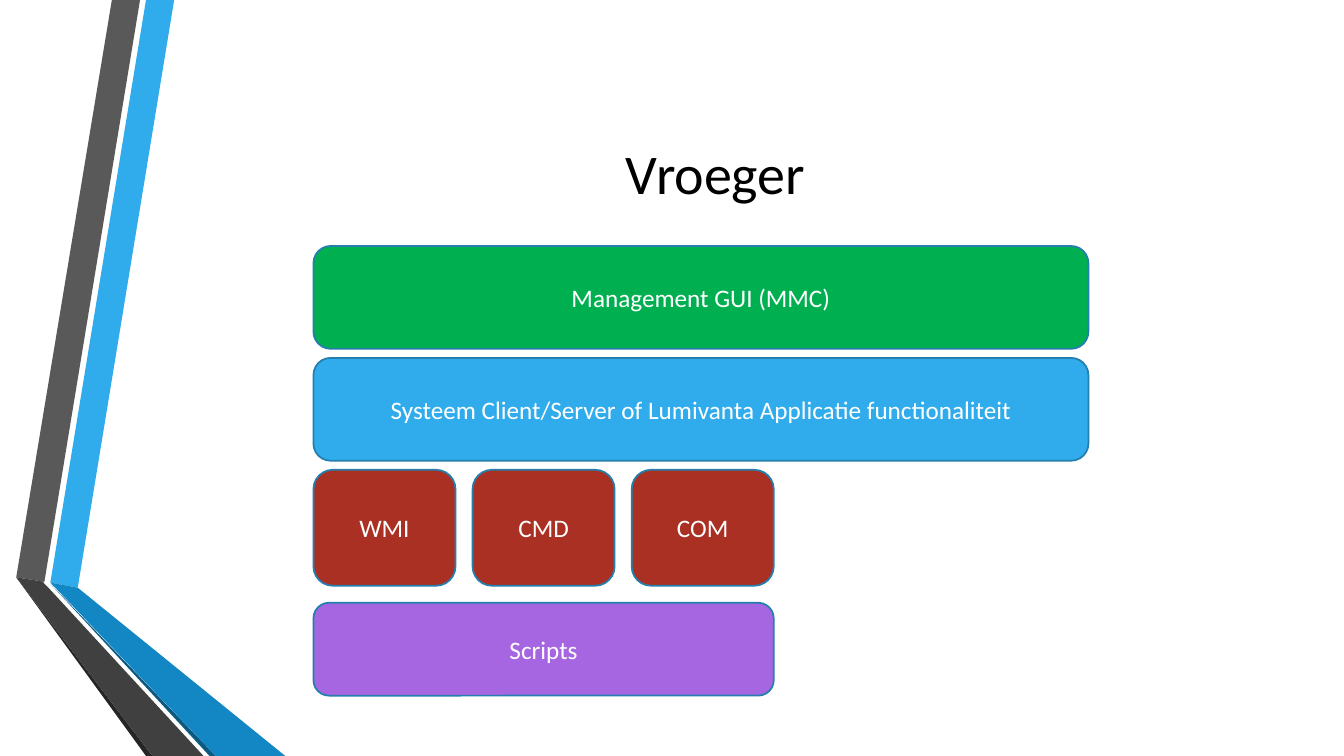
from pptx import Presentation
from pptx.dml.color import RGBColor
from pptx.enum.shapes import MSO_SHAPE
from pptx.enum.text import MSO_ANCHOR, PP_ALIGN
from pptx.util import Cm, Pt

# Content
TITLE = "Vroeger"
# Layers from top to bottom: labels, fill, top, height, total width (cm)
LAYERS = [
    (["Management GUI (MMC)"], "00B050", 6.2, 2.59, 19.53),
    (["Systeem Client/Server of Lumivanta Applicatie functionaliteit"],
     "30ACEC", 9.02, 2.59, 19.53),
    (["WMI", "CMD", "COM"], "A93023", 11.84, 2.92, 11.6),
    (["Scripts"], "A666E1", 15.19, 2.34, 11.6),
]
LAYERS_LEFT, TILE_GAP = 7.9, 0.43

# Folded ribbons on the left: fill, corner points (cm)
SLIDE_WIDTH, BOTTOM = 33.87, 19.05
RIBBONS = [
    ("30ACEC", [(1.27, 14.68), (1.96, 14.81), (4.39, 0), (3.68, 0)]),
    ("595959", [(3.53, 0), (2.82, 0), (0.41, 14.55), (1.12, 14.66)]),
    ("262626", [(0.41, 14.55), (3.68, BOTTOM), (3.84, BOTTOM)]),
    ("0C5A82", [(1.27, 14.71), (5.28, BOTTOM), (5.44, BOTTOM)]),
    ("1287C3", [(1.27, 14.68), (5.44, BOTTOM), (7.19, BOTTOM), (1.96, 14.81)]),
    ("404040", [(5.13, BOTTOM), (1.22, 14.81), (1.09, 14.68), (1.12, 14.66),
                (0.41, 14.55), (3.84, BOTTOM)]),
]

TITLE_FONT = {"name": "Calibri", "size": Pt(40), "bold": False}
LAYER_FONT = {"name": "Calibri", "size": Pt(18), "bold": False}
TITLE_PLACE = {"left": Cm(4.11), "top": Cm(1.9),
               "width": Cm(27.84), "height": Cm(4.88)}


def colour(target, hex_value):
    """Colour a fill or a font."""
    if hasattr(target, "solid"):
        target.solid()
        target = target.fore_color
    else:
        target = target.color
    target.rgb = RGBColor.from_string(hex_value)


def set_all(target, values):
    for name, value in values.items():
        setattr(target, name, value)


def write(holder, text, font, hex_value):
    frame = holder.text_frame
    frame.text = text
    set_all(frame, {"word_wrap": True, "vertical_anchor": MSO_ANCHOR.MIDDLE})
    paragraph = frame.paragraphs[0]
    paragraph.alignment = PP_ALIGN.CENTER
    run_font = paragraph.runs[0].font
    set_all(run_font, font)
    colour(run_font, hex_value)


def add_ribbon(slide, fill, points):
    corners = [(Cm(x), Cm(y)) for x, y in points]
    builder = slide.shapes.build_freeform(*corners[0])
    builder.add_line_segments(corners[1:], close=True)
    ribbon = builder.convert_to_shape()
    ribbon.shadow.inherit = False
    colour(ribbon.fill, fill)
    ribbon.line.fill.background()


def add_layer(slide, labels, fill, top, height, total_width):
    width = (total_width - TILE_GAP * (len(labels) - 1)) / len(labels)
    for column, label in enumerate(labels):
        left = LAYERS_LEFT + column * (width + TILE_GAP)
        tile = slide.shapes.add_shape(MSO_SHAPE.ROUNDED_RECTANGLE,
                                      Cm(left), Cm(top), Cm(width), Cm(height))
        tile.shadow.inherit = False
        colour(tile.fill, fill)
        colour(tile.line.fill, "247FAF")
        tile.line.width = Pt(1.25)
        write(tile, label, LAYER_FONT, "FFFFFF")


def main():
    deck = Presentation()
    set_all(deck, {"slide_width": Cm(SLIDE_WIDTH), "slide_height": Cm(BOTTOM)})
    slide = deck.slides.add_slide(deck.slide_layouts[5])

    # Ribbons
    for fill, points in RIBBONS:
        add_ribbon(slide, fill, points)

    # Title
    title = slide.shapes.title
    set_all(title, TITLE_PLACE)
    write(title, TITLE, TITLE_FONT, "000000")

    # Layers
    for layer in LAYERS:
        add_layer(slide, *layer)

    deck.save("out.pptx")


if __name__ == "__main__":
    main()
